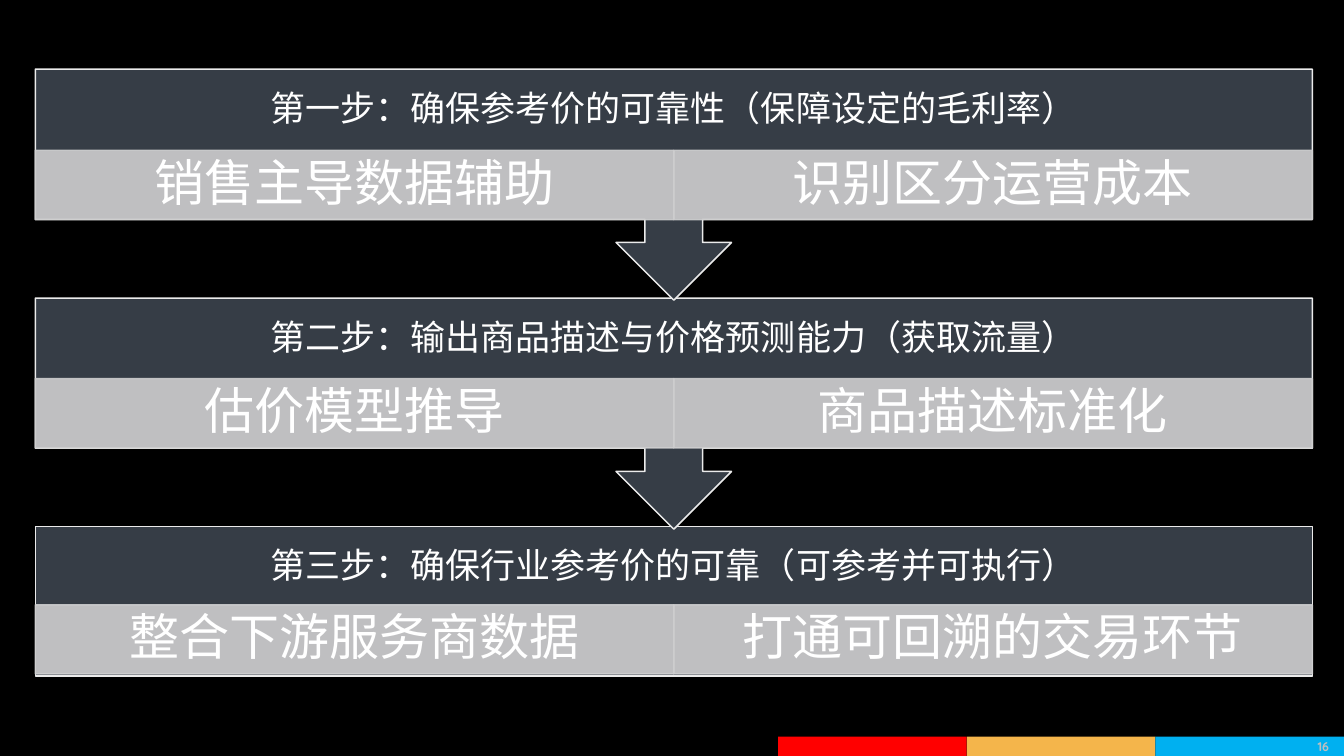
"""Build a slide with three pricing steps linked by downward callout arrows."""
from dataclasses import dataclass

from lxml import etree
from pptx import Presentation
from pptx.dml.color import RGBColor
from pptx.enum.shapes import MSO_SHAPE
from pptx.enum.text import MSO_ANCHOR, PP_ALIGN
from pptx.oxml.ns import qn
from pptx.util import Inches, Pt

RECTANGLE = MSO_SHAPE.RECTANGLE
DOWN_CALLOUT = MSO_SHAPE.DOWN_ARROW_CALLOUT
MIDDLE = MSO_ANCHOR.MIDDLE
CENTER = PP_ALIGN.CENTER
RIGHT = PP_ALIGN.RIGHT

STEPS = [
    {"title": "第一步：确保参考价的可靠性（保障设定的毛利率）",
     "tasks": ["销售主导数据辅助", "识别区分运营成本"],
     "top": 0.96, "height": 3.21, "task_offset": 1.13, "outline": DOWN_CALLOUT},
    {"title": "第二步：输出商品描述与价格预测能力（获取流量）",
     "tasks": ["估价模型推导", "商品描述标准化"],
     "top": 4.14, "height": 3.21, "task_offset": 1.12, "outline": DOWN_CALLOUT},
    {"title": "第三步：确保行业参考价的可靠（可参考并可执行）",
     "tasks": ["整合下游服务商数据", "打通可回溯的交易环节"],
     "top": 7.31, "height": 2.08, "task_offset": 1.09, "outline": RECTANGLE},
]
PAGE_NUMBER = "16"


@dataclass(frozen=True)
class Theme:
    """Colours, font and type sizes."""
    font: str = "Quicksand"
    background: str = "000000"
    step: str = "363D46"
    step_line: str = "EBEBEB"
    task: str = "CECECF"
    task_opacity: int = 90
    text: str = "FFFFFF"
    number: str = "BFBFBF"
    footer: tuple = ("FF0000", "F4B54B", "00B0F0")
    title_size: float = 35
    task_size: float = 50
    number_size: float = 12.6
    line_width: float = 1.5


THEME = Theme()
SLIDE_WIDTH, SLIDE_HEIGHT = 18.67, 10.5
STEP_LEFT, STEP_WIDTH = 0.49, 17.74
TITLE_HEIGHT, TASK_HEIGHT = 1.13, 0.96
TITLE_INSETS, TASK_INSETS = (0.27, 0.27), (0.39, 0.07)
FOOTER_LEFT, FOOTER_HEIGHT = 10.81, 0.27


def set_opacity(color_format, percent):
    """Make a solid fill partly transparent."""
    color = color_format._xPr.find(qn("a:solidFill"))[0]
    etree.SubElement(color, qn("a:alpha")).set("val", str(percent * 1000))


def add_block(slide, outline, box, fill, line=None, opacity=100):
    """Add a flat filled shape, outlined when a line colour is given."""
    block = slide.shapes.add_shape(outline, *map(Inches, box))
    block.shadow.inherit = False
    block.fill.solid()
    block.fill.fore_color.rgb = RGBColor.from_string(fill)
    if line is None:
        block.line.fill.background()
    else:
        block.line.width = Pt(THEME.line_width)
        block.line.fill.solid()
        block.line.color.rgb = RGBColor.from_string(line)
    if opacity < 100:
        set_opacity(block.fill, opacity)
        set_opacity(block.line.fill, opacity)
    return block


def write(holder, text, size, color, insets, align=CENTER, spacing=0.9, bold=False):
    """Put one formatted line of text into a shape."""
    frame = holder.text_frame
    frame.text = text
    frame.word_wrap = True
    frame.vertical_anchor = MIDDLE
    frame.margin_left = frame.margin_right = Inches(insets[0])
    frame.margin_top = frame.margin_bottom = Inches(insets[1])
    paragraph = frame.paragraphs[0]
    paragraph.alignment = align
    paragraph.line_spacing = spacing
    font = paragraph.runs[0].font
    font.name = THEME.font
    font.size = Pt(size)
    font.bold = bold
    font.color.rgb = RGBColor.from_string(color)


def add_footer(slide):
    """Add the coloured strip and the page number."""
    top = SLIDE_HEIGHT - FOOTER_HEIGHT
    width = (SLIDE_WIDTH - FOOTER_LEFT) / len(THEME.footer)
    for index, color in enumerate(THEME.footer):
        box = (FOOTER_LEFT + index * width, top, width, FOOTER_HEIGHT)
        add_block(slide, RECTANGLE, box, color)
    number = slide.shapes.add_textbox(*map(Inches, (17.72, top, 0.84, FOOTER_HEIGHT)))
    write(number, PAGE_NUMBER, THEME.number_size, THEME.number, (0.1, 0.05),
          align=RIGHT, spacing=1.0, bold=True)


def add_step(slide, step):
    """Add one step: its panel, its title and its row of tasks."""
    top = step["top"]
    add_block(slide, step["outline"], (STEP_LEFT, top, STEP_WIDTH, step["height"]),
              THEME.step, THEME.step_line)
    title = slide.shapes.add_textbox(
        *map(Inches, (STEP_LEFT, top, STEP_WIDTH, TITLE_HEIGHT)))
    write(title, step["title"], THEME.title_size, THEME.text, TITLE_INSETS)
    task_width = STEP_WIDTH / len(step["tasks"])
    for index, text in enumerate(step["tasks"]):
        box = (STEP_LEFT + index * task_width, top + step["task_offset"],
               task_width, TASK_HEIGHT)
        task = add_block(slide, RECTANGLE, box, THEME.task, THEME.task,
                         THEME.task_opacity)
        write(task, text, THEME.task_size, THEME.text, TASK_INSETS)


def main():
    """Assemble and save the slide."""
    deck = Presentation()
    deck.slide_width, deck.slide_height = Inches(SLIDE_WIDTH), Inches(SLIDE_HEIGHT)
    slide = deck.slides.add_slide(deck.slide_layouts[6])
    slide.background.fill.solid()
    slide.background.fill.fore_color.rgb = RGBColor.from_string(THEME.background)
    add_footer(slide)
    for step in reversed(STEPS):
        add_step(slide, step)
    deck.save("out.pptx")


if __name__ == "__main__":
    main()
